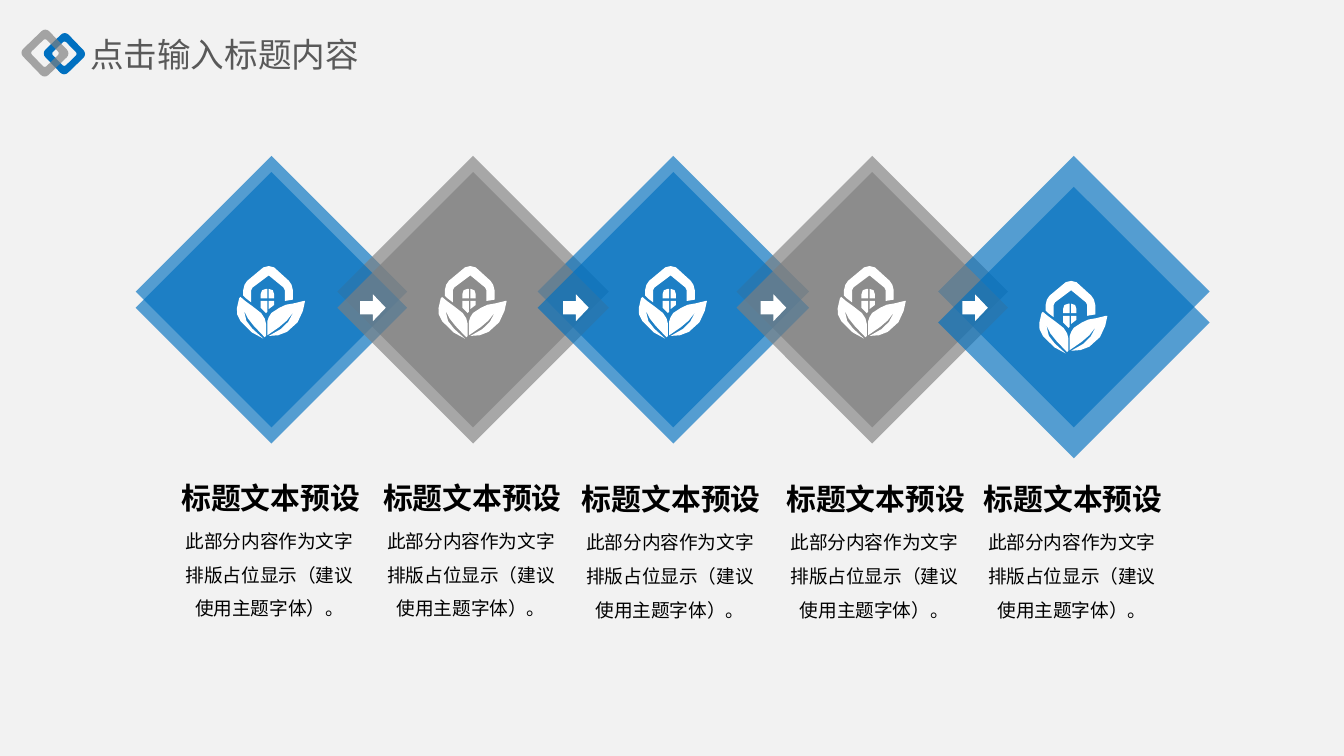
import math
from lxml import etree
from pptx import Presentation
from pptx.dml.color import RGBColor
from pptx.enum import shapes, text
from pptx.oxml.ns import qn
from pptx.util import Inches, Pt

COLORS = {"back": "F2F2F2", "blue": "0070C0", "gray": "7F7F7F", "ring": "808080",
          "white": "FFFFFF", "black": "000000", "title": "595959"}
FONT = "Noto Sans CJK SC"
HEADING = "标题文本预设"
BODY = "此部分内容作为文字排版占位显示（建议使用主题字体）。"

# House between two leaves, in hundredths of an inch
ICON = [
    [(51, 26), (49.4, 33.4), (45.5, 41.8), (37.6, 49), (31, 51.5), (24, 52), (33, 46.9),
     (38.5, 41.5), (42.5, 34), (37.5, 40.5), (31.8, 45.4), (23, 51.5), (23, 41),
     (24, 38), (26, 34.9), (32, 31), (36.8, 28.8), (42.5, 27.8), (50, 26)],
    [(24, 26), (28, 26), (28, 29), (24, 32)],
    [(18, 26), (23, 26), (23, 34), (22, 35), (18, 31)],
    [(24, 17), (27, 18), (28, 21), (28, 24), (24, 24)],
    [(23, 17), (23, 24), (18, 24), (18, 21), (19, 18), (22, 17)],
    [(3, 23), (6.5, 26), (12, 30), (18.4, 35), (21, 39), (22, 43), (22, 52), (21, 53),
     (13, 44.6), (8.5, 39), (5.5, 33), (7.5, 41), (11.8, 46.6), (20, 54), (11.5, 49.4),
     (3, 41), (0.5, 36), (0.3, 31.4), (2, 24)],
    [(24, 0), (28, 1), (39, 11), (41, 14), (42, 18), (42, 25), (36, 26), (36, 18),
     (35, 16), (24, 7), (12, 16), (11, 18), (11, 27), (7, 24), (5, 22), (5, 18),
     (6, 14), (8, 11), (20, 1)],
]


def paint(s, color, opacity=100):
    """Give a shape a plain fill, without line or shadow."""
    s.shadow.inherit = False
    s.line.fill.background()
    s.fill.solid()
    s.fill.fore_color.rgb = RGBColor.from_string(COLORS[color])
    if opacity < 100:
        clr = s.element.spPr.xpath(".//a:srgbClr")[0]
        etree.SubElement(clr, qn("a:alpha"), val=str(opacity * 1000))


def add_run(p, words, size, color, bold=False):
    r = p.add_run()
    r.text = words
    r.font.size = Pt(size)
    r.font.bold = bold
    r.font.color.rgb = RGBColor.from_string(COLORS[color])
    r.font.name = FONT
    etree.SubElement(r.font._element, qn("a:ea"), typeface=FONT)


prs = Presentation()
prs.slide_width = Inches(10)
prs.slide_height = Inches(10) * 9 // 16
slide = prs.slides.add_slide(prs.slide_layouts[5])
slide.background.fill.solid()
slide.background.fill.fore_color.rgb = RGBColor.from_string(COLORS["back"])

# Title
title = slide.shapes.title
title.left, title.top = Inches(0.67), Inches(0.19)
title.width, title.height = Inches(2.33), Inches(0.42)
tf = title.text_frame
tf.margin_left = tf.margin_right = 0
tf.margin_top = tf.margin_bottom = Inches(0.05)
tf.vertical_anchor = text.MSO_ANCHOR.MIDDLE
p = tf.paragraphs[0]
p.alignment = text.PP_ALIGN.LEFT
add_run(p, "点击输入标题内容", 18, "title")

# Two overlapping diamonds for each step; the last step hangs lower
diamond_lefts = [1.01, 2.51, 4, 5.48, 6.98]
front_tops = [1.28] * 4 + [1.39]
for tops in ([1.16] * 5, front_tops):
    for i, (left, top) in enumerate(zip(diamond_lefts, tops)):
        s = slide.shapes.add_shape(shapes.MSO_SHAPE.DIAMOND, Inches(left), Inches(top),
                                   Inches(2.02), Inches(2.02))
        paint(s, ("blue", "gray")[i % 2], 65)

for left in (2.68, 4.19, 5.66, 7.16):
    s = slide.shapes.add_shape(shapes.MSO_SHAPE.RIGHT_ARROW, Inches(left), Inches(2.19),
                               Inches(0.19), Inches(0.2))
    paint(s, "white")

# Heading and body under each step
for left, top in ((1.24, 3.52), (2.74, 3.52), (4.22, 3.53), (5.74, 3.53), (7.21, 3.53)):
    for words, size, dy, width, height, spacing in (
            (HEADING, 16, 0, 1.55, 0.37, 1), (BODY, 10, 0.29, 1.53, 0.86, 1.5)):
        s = slide.shapes.add_textbox(Inches(left), Inches(top + dy),
                                     Inches(width), Inches(height))
        tf = s.text_frame
        tf.word_wrap = words == BODY
        tf.auto_size = text.MSO_AUTO_SIZE.SHAPE_TO_FIT_TEXT
        p = tf.paragraphs[0]
        p.alignment = text.PP_ALIGN.CENTER
        p.line_spacing = spacing
        add_run(p, words, size, "black", words == HEADING)

# Outlines: an icon on each front diamond, then two rounded frames by the title
outlines = [(ICON, left + 0.75, top + 0.7, "white", 100, 0)
            for left, top in zip(diamond_lefts, front_tops)]
for side, left, top, color, opacity in ((24, 0.36, 0.28, "blue", 100),
                                        (27, 0.2, 0.26, "ring", 69)):
    frame = []
    for half, radius in ((side / 2, 4), (side * 0.29, 2)):
        contour = []
        for quarter in range(4):
            middle = math.radians(45 + 90 * quarter)
            reach = (half - radius) * math.sqrt(2)
            for step in range(-2, 3):
                angle = middle + math.radians(22.5 * step)
                contour.append((side / 2 + reach * math.cos(middle) + radius * math.cos(angle),
                                side / 2 + reach * math.sin(middle) + radius * math.sin(angle)))
        frame.append(contour)
    outlines.append((frame, left, top, color, opacity, 316))

for contours, left, top, color, opacity, rotation in outlines:
    scaled = [[(Inches(x / 100), Inches(y / 100)) for x, y in c] for c in contours]
    builder = slide.shapes.build_freeform(*scaled[0][0])
    for i, contour in enumerate(scaled):
        if i:
            builder.move_to(*contour[0])
        builder.add_line_segments(contour[1:], close=True)
    s = builder.convert_to_shape(Inches(left), Inches(top))
    s.rotation = rotation
    paint(s, color, opacity)

prs.save("out.pptx")
